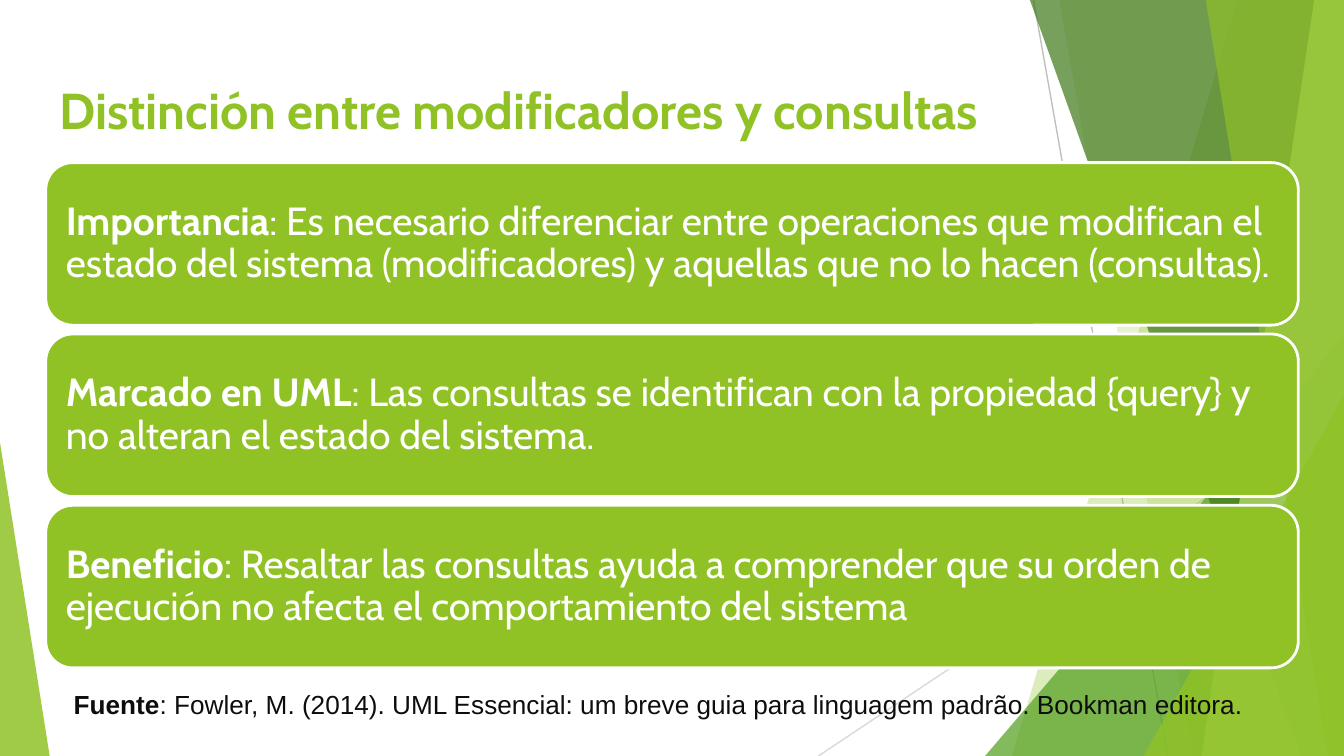
from lxml import etree
from pptx import Presentation
from pptx.dml.color import RGBColor
from pptx.enum.shapes import MSO_CONNECTOR, MSO_SHAPE
from pptx.enum.text import MSO_ANCHOR, MSO_AUTO_SIZE, PP_ALIGN
from pptx.oxml.ns import qn
from pptx.util import Inches, Pt

COLORS = {
    "lime": "90C226", "pale": "C0E474", "green": "54A021", "forest": "3F7819",
    "white": "FFFFFF", "ink": "0D0D0D", "gray": "BFBFBF", "silver": "D9D9D9",
}
RIGHT = 10
TOP, BOTTOM = -0.01, RIGHT * 9 / 16
FIRST_CARD, LAST_CARD = 1.21, 3.76
CARDS = [
    ("Importancia", ": Es necesario diferenciar entre operaciones que modifican el estado "
                    "del sistema (modificadores) y aquellas que no lo hacen (consultas)."),
    ("Marcado en UML", ": Las consultas se identifican con la propiedad {query} y no alteran "
                       "el estado del sistema."),
    ("Beneficio", ": Resaltar las consultas ayuda a comprender que su orden de ejecución "
                  "no afecta el comportamiento del sistema"),
]


class FacetSlide:
    """Current slide together with its faceted green style."""

    def __init__(self, slide, font="Cabin"):
        self.slide = slide
        self.shapes = slide.shapes
        self.font = font

    def color(self, name):
        return RGBColor.from_string(COLORS[name])

    def paint(self, shape, color, opacity=100):
        shape.shadow.inherit = False
        shape.fill.solid()
        shape.fill.fore_color.rgb = self.color(color)
        shape.line.fill.background()
        if opacity < 100:
            tint = shape.fill._xPr.find(qn("a:solidFill"))[0]
            etree.SubElement(tint, qn("a:alpha"), val=str(opacity * 1000))

    def ray(self, start, end, color):
        points = [Inches(value) for value in (*start, *end)]
        ray = self.shapes.add_connector(MSO_CONNECTOR.STRAIGHT, *points)
        ray.line.color.rgb = self.color(color)
        ray.line.width = Pt(0.75)
        etree.SubElement(ray._element.spPr, qn("a:effectLst"))

    def facet(self, top_x, bottom_x, color, opacity):
        corners = [(top_x, TOP), (RIGHT, TOP), (RIGHT, BOTTOM), (bottom_x, BOTTOM)]
        start, *others = [(Inches(x), Inches(y)) for x, y in corners]
        builder = self.shapes.build_freeform(*start)
        builder.add_line_segments(others, close=True)
        self.paint(builder.convert_to_shape(), color, opacity)

    def triangle(self, left, top, width, apex, color, opacity):
        triangle = self.shapes.add_shape(
            MSO_SHAPE.ISOSCELES_TRIANGLE,
            Inches(left), Inches(top), Inches(width), Inches(BOTTOM - top))
        triangle.adjustments[0] = apex
        self.paint(triangle, color, opacity)

    def inset(self, frame, margin):
        frame.margin_left = frame.margin_right = Inches(margin)
        frame.margin_top = frame.margin_bottom = Inches(margin)

    def format(self, paragraph, size, color, font=None):
        paragraph.alignment = PP_ALIGN.LEFT
        paragraph.font.name = font or self.font
        paragraph.font.size = Pt(size)
        paragraph.font.color.rgb = self.color(color)

    def labelled(self, paragraph, label, detail):
        term = paragraph.add_run()
        term.text = label
        term.font.bold = True
        paragraph.add_run().text = detail

    def title(self, text):
        title = self.shapes.title
        self.shapes._spTree.append(title._element)
        title.left, title.top = Inches(0.34), Inches(0.49)
        title.width, title.height = Inches(9.32), Inches(0.63)
        frame = title.text_frame
        frame.text = text
        frame.auto_size = MSO_AUTO_SIZE.NONE
        frame.vertical_anchor = MSO_ANCHOR.TOP
        self.inset(frame, 0.1)
        heading = frame.paragraphs[0]
        self.format(heading, 27, "lime")
        heading.font.bold = True

    def card(self, top, label, detail):
        card = self.shapes.add_shape(
            MSO_SHAPE.ROUNDED_RECTANGLE,
            Inches(0.34), Inches(top), Inches(9.32), Inches(1.21))
        self.paint(card, "lime")
        card.line.color.rgb = self.color("white")
        card.line.width = Pt(1.5)
        frame = card.text_frame
        frame.word_wrap = True
        frame.vertical_anchor = MSO_ANCHOR.MIDDLE
        self.inset(frame, 0.09)
        statement = frame.paragraphs[0]
        statement.line_spacing = 0.9
        self.format(statement, 21, "white")
        self.labelled(statement, label, detail)

    def source(self, label, detail):
        source = self.shapes.add_textbox(
            Inches(0.45), Inches(5.07), Inches(9.55), Inches(0.34))
        source.text_frame.word_wrap = True
        citation = source.text_frame.paragraphs[0]
        self.format(citation, 14, "ink", "Arial")
        self.labelled(citation, label, detail)


def main():
    deck = Presentation()
    deck.slide_width, deck.slide_height = Inches(RIGHT), Inches(BOTTOM)
    page = FacetSlide(deck.slides.add_slide(deck.slide_layouts[5]))

    page.ray((7.69, 0), (8.69, BOTTOM), "gray")
    page.ray((RIGHT, 3.02), (6.09, BOTTOM), "silver")
    page.facet(9.21, 7.53, "lime", 30)
    page.facet(7.88, 8.87, "lime", 20)
    page.triangle(7.33, 2.5, 2.67, 1, "green", 72)
    page.facet(7.66, 9.68, "forest", 70)
    page.facet(9.78, 8.94, "pale", 70)
    page.facet(8.97, 9.88, "lime", 65)
    page.triangle(8.51, 2.94, 1.49, 1, "lime", 80)
    page.triangle(0, 3.29, 0.37, 0, "lime", 85)

    page.title("Distinción entre modificadores y consultas")
    pitch = (LAST_CARD - FIRST_CARD) / (len(CARDS) - 1)
    for row, (label, detail) in enumerate(CARDS):
        page.card(FIRST_CARD + row * pitch, label, detail)
    page.source("Fuente", ": Fowler, M. (2014). UML Essencial: um breve guia para "
                          "linguagem padrão. Bookman editora.")
    deck.save("out.pptx")


if __name__ == "__main__":
    main()
